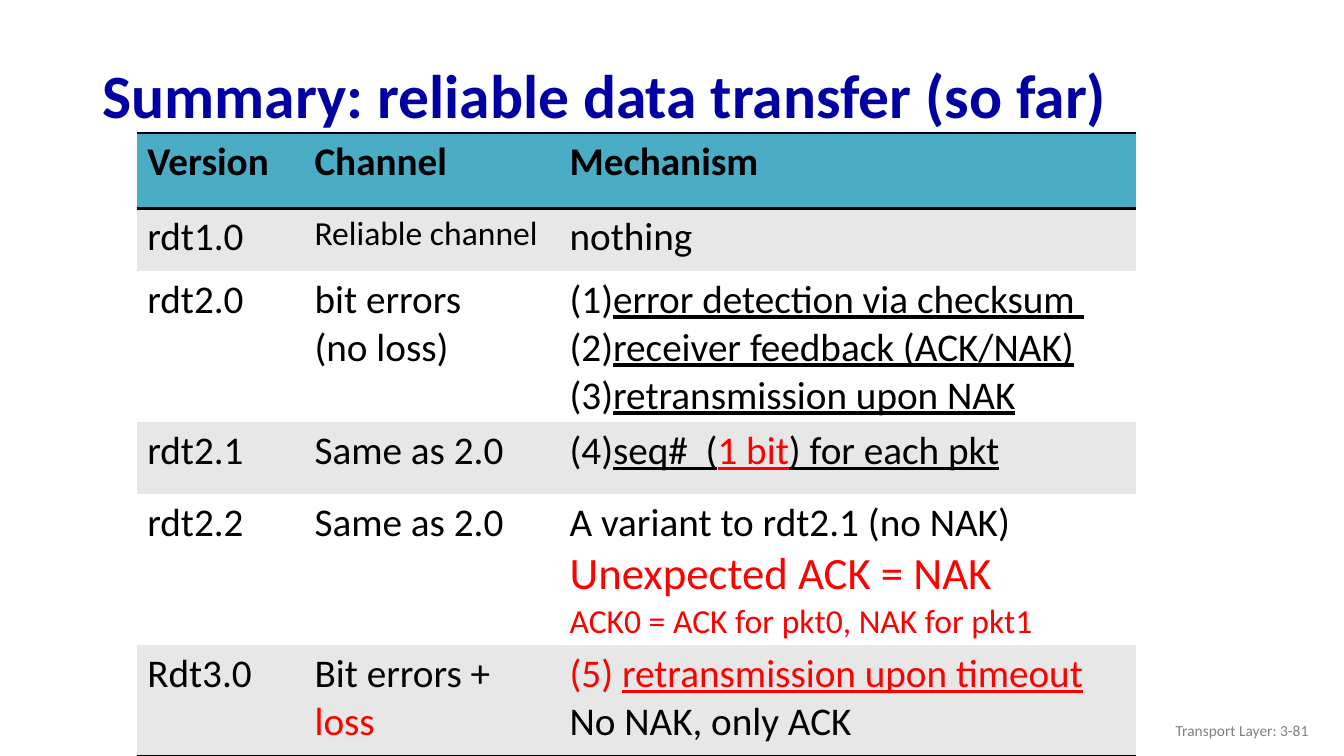
from dataclasses import dataclass

import pptx
import pptx.dml.color
import pptx.enum.text
import pptx.oxml
import pptx.oxml.ns
import pptx.util

Pt = pptx.util.Pt
RGB = pptx.dml.color.RGBColor
Align = pptx.enum.text.PP_ALIGN

FONT = "Calibri"
BLACK = RGB(0x00, 0x00, 0x00)
RED = RGB(0xFF, 0x00, 0x00)
NAVY = RGB(0x00, 0x00, 0xA3)
GREY = RGB(0x80, 0x80, 0x80)
TEAL = RGB(0x4B, 0xAC, 0xC6)
BAND = RGB(0xE7, 0xE7, 0xE7)
WHITE = RGB(0xFF, 0xFF, 0xFF)
RULE = 2  # points
HANG = 27  # points, hanging indent of numbered lines


@dataclass
class Run:
    text: str
    size: float = 28
    color: RGB = BLACK
    bold: bool = False
    under: bool = False


@dataclass
class Line:
    runs: list[Run]
    number: bool = False


@dataclass
class Row:
    height: float
    fill: RGB
    cells: list[list[Line]]
    top: bool = False
    bottom: bool = False


@dataclass
class Label:
    left: float
    top: float
    width: float
    height: float
    run: Run
    align: Align = Align.LEFT
    pitch: float = 1.0


def plain(text: str, size: float = 28, color: RGB = BLACK) -> Line:
    return Line([Run(text, size, color)])


def step(text: str) -> Line:
    return Line([Run(text, under=True)], number=True)


COLS = [119.5, 182.2, 411.8]
ROWS = [
    Row(54, TEAL, [[Line([Run(name, bold=True)])]
                   for name in ("Version", "Channel", "Mechanism")],
        top=True, bottom=True),
    Row(44.6, BAND, [[plain("rdt1.0")], [plain("Reliable channel", 24)],
                     [plain("nothing")]], top=True),
    Row(108, WHITE, [
        [plain("rdt2.0")],
        [plain("bit errors"), plain("(no loss)")],
        [step("error detection via checksum "),
         step("receiver feedback (ACK/NAK)"),
         step("retransmission upon NAK")],
    ]),
    Row(51.1, BAND, [
        [plain("rdt2.1")],
        [plain("Same as 2.0")],
        [Line([Run("(4)"), Run("seq#  (", under=True),
               Run("1 bit", color=RED, under=True),
               Run(") for each pkt", under=True)])],
    ]),
    Row(108, WHITE, [
        [plain("rdt2.2")],
        [plain("Same as 2.0")],
        [plain("A variant to rdt2.1 (no NAK)"),
         plain("Unexpected ACK = NAK", 32, RED),
         plain("ACK0 = ACK for pkt0, NAK for pkt1", 24, RED)],
    ]),
    Row(79.2, BAND, [
        [plain("Rdt3.0")],
        [Line([Run("Bit errors + "), Run("loss", color=RED)])],
        [Line([Run("(5) ", color=RED),
               Run("retransmission upon timeout", color=RED, under=True)]),
         plain("No NAK, only ACK")],
    ], bottom=True),
]
LABELS = [
    Label(66.2, 35.3, 828, 70.6,
          Run("Summary: reliable data transfer (so far)", 44, NAVY, bold=True),
          pitch=0.9),
    Label(725.8, 507.6, 216, 28.8, Run("Transport Layer: 3-81", 11, GREY),
          Align.RIGHT),
]


def add_run(para, run: Run) -> None:
    item = para.add_run()
    item.text = run.text
    font = item.font
    font.name, font.size = FONT, Pt(run.size)
    font.bold, font.underline = run.bold, run.under
    font.color.rgb = run.color


def write(frame, lines: list[Line]) -> None:
    for i, line in enumerate(lines):
        para = frame.add_paragraph() if i else frame.paragraphs[0]
        if line.number:
            props = para._p.get_or_add_pPr()
            props.set("marL", str(Pt(HANG)))
            props.set("indent", str(-Pt(HANG)))
            mark = pptx.oxml.parse_xml(
                f'<a:buAutoNum {pptx.oxml.ns.nsdecls("a")} type="arabicParenBoth"/>')
            props.append(mark)
        for run in line.runs:
            add_run(para, run)


def edge(cell, row: Row) -> None:
    """Rule the cell's top and bottom as the row asks, and clear the other sides."""
    props = cell._tc.get_or_add_tcPr()
    sides = {"lnL": False, "lnR": False, "lnT": row.top, "lnB": row.bottom}
    for i, (side, drawn) in enumerate(sides.items()):
        paint = (f'<a:solidFill><a:srgbClr val="{BLACK}"/></a:solidFill>'
                 if drawn else "<a:noFill/>")
        width = Pt(RULE) if drawn else 0
        props.insert(i, pptx.oxml.parse_xml(
            f'<a:{side} {pptx.oxml.ns.nsdecls("a")} w="{width}">{paint}</a:{side}>'))


def add_grid(slide) -> None:
    high = sum(row.height for row in ROWS)
    grid = slide.shapes.add_table(len(ROWS), len(COLS), Pt(98), Pt(95),
                                  Pt(sum(COLS)), Pt(high)).table
    grid.horz_banding = False
    for col, width in zip(grid.columns, COLS):
        col.width = Pt(width)
    for r, row in enumerate(ROWS):
        grid.rows[r].height = Pt(row.height)
        for c, lines in enumerate(row.cells):
            cell = grid.cell(r, c)
            cell.fill.solid()
            cell.fill.fore_color.rgb = row.fill
            edge(cell, row)
            write(cell.text_frame, lines)


def add_label(slide, label: Label) -> None:
    box = slide.shapes.add_textbox(Pt(label.left), Pt(label.top),
                                   Pt(label.width), Pt(label.height))
    frame = box.text_frame
    frame.word_wrap = True
    frame.vertical_anchor = pptx.enum.text.MSO_ANCHOR.MIDDLE
    para = frame.paragraphs[0]
    para.alignment, para.line_spacing = label.align, label.pitch
    add_run(para, label.run)


def main() -> None:
    deck = pptx.Presentation()
    deck.slide_width, deck.slide_height = Pt(960), Pt(540)
    slide = deck.slides.add_slide(deck.slide_layouts[6])
    title, footer = LABELS
    add_label(slide, title)
    add_grid(slide)
    add_label(slide, footer)
    deck.save("out.pptx")


if __name__ == "__main__":
    main()
